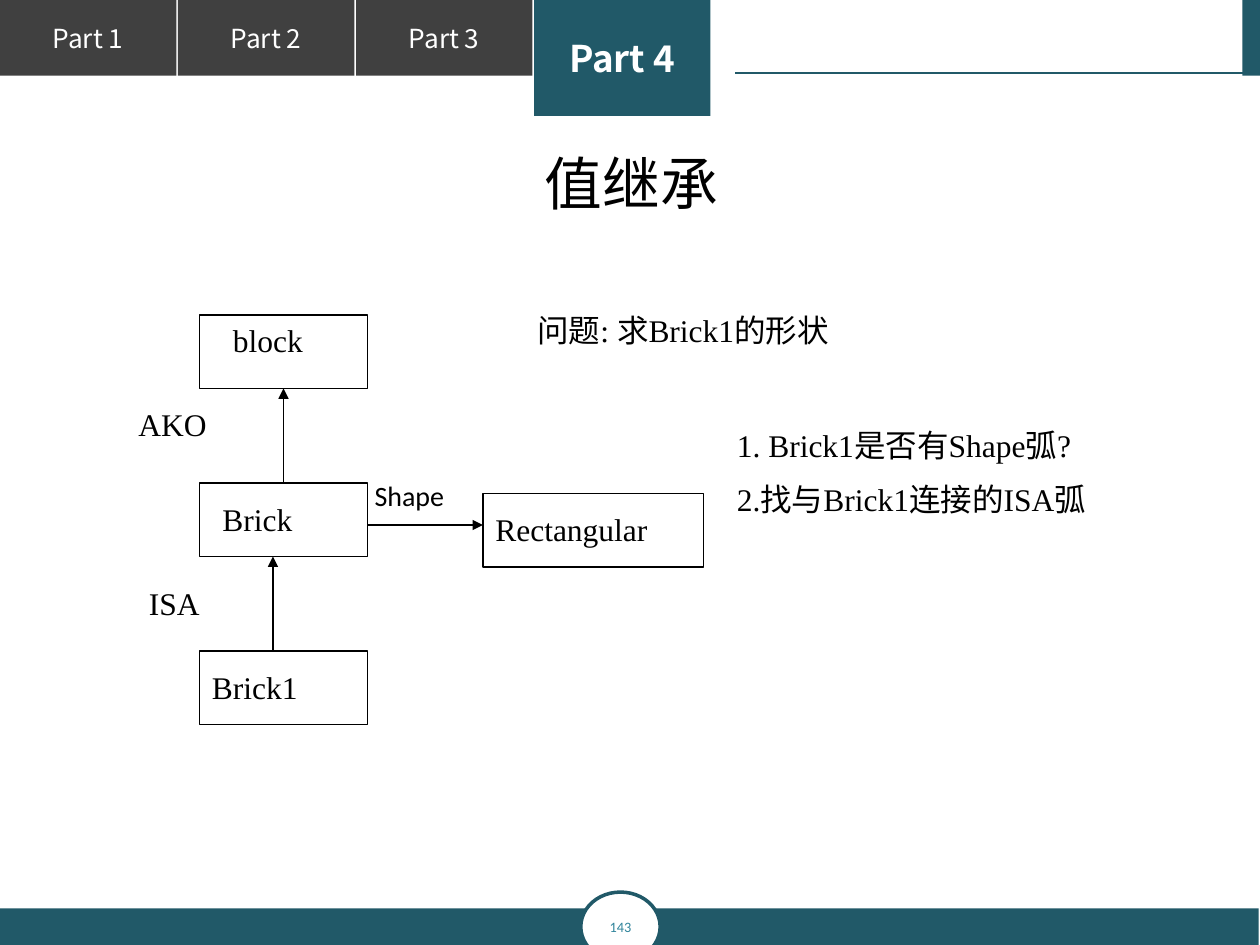
from lxml import etree
from pptx import Presentation
from pptx.dml.color import RGBColor as RGB
from pptx.enum.shapes import MSO_CONNECTOR, MSO_SHAPE
from pptx.enum.text import MSO_ANCHOR as ANCHOR, MSO_AUTO_SIZE as FIT, PP_ALIGN as ALIGN
from pptx.oxml.ns import qn
from pptx.util import Inches, Pt

C = {"teal": "215968", "gray": "404040", "white": "FFFFFF",
     "black": "000000", "number": "31859C"}
CJK, SERIF, SANS = "Noto Sans CJK SC", "Times New Roman", "Calibri"

prs = Presentation()
prs.slide_width, prs.slide_height = Inches(10), Inches(7.5)
s = prs.slides.add_slide(prs.slide_layouts[5])
U = prs.slide_width // 120  # diagram grid: 12 columns or rows to the inch


def write(sp, lines, size, font, color="black", bold=False, align=ALIGN.LEFT,
          anchor=ANCHOR.TOP):
    tf = sp.text_frame
    frame = {"word_wrap": True, "auto_size": FIT.NONE, "vertical_anchor": anchor}
    for key, value in frame.items():
        setattr(tf, key, value)
    for i, line in enumerate(lines):
        p = tf.paragraphs[0] if i == 0 else tf.add_paragraph()
        p.alignment = align
        if i:
            p.space_before = Pt(size / 2)
        r = p.add_run()
        r.text = line
        for key, value in {"size": Pt(size), "name": font, "bold": bold}.items():
            setattr(r.font, key, value)
        r.font.color.rgb = RGB.from_string(C[color])
        etree.SubElement(r.font._element, qn("a:ea"), typeface=CJK)


def draw(kind, box, fill=None, line=None, width=0.75):
    sp = s.shapes.add_shape(kind, *box)
    sp.shadow.inherit = False
    if fill:
        sp.fill.solid()
        sp.fill.fore_color.rgb = RGB.from_string(C[fill])
    else:
        sp.fill.background()
    if line:
        sp.line.color.rgb = RGB.from_string(C[line])
        sp.line.width = Pt(width)
    else:
        sp.line.fill.background()
    return sp


# Navigation tabs, the last one active
for i in range(4):
    active = i == 3
    height, fill, size = (0.92, "teal", 21) if active else (0.6, "gray", 15)
    box = [Inches(v) for v in (1.413 * i, 0, 1.4, height)]
    write(draw(MSO_SHAPE.RECTANGLE, box, fill), [f"Part {i + 1}"], size, CJK,
          "white", active, ALIGN.CENTER, ANCHOR.MIDDLE)

# Corner block, footer bar and page number
for box in ((9.86, 0, 0.15, 0.6), (0, 7.21, 9.99, 0.29)):
    draw(MSO_SHAPE.RECTANGLE, [Inches(v) for v in box], "teal")
badge = draw(MSO_SHAPE.OVAL, [Inches(v) for v in (4.61, 7.08, 0.63, 0.55)],
             "white", "teal", 2)
write(badge, ["143"], 8.2, SANS, "number", align=ALIGN.CENTER, anchor=ANCHOR.MIDDLE)

# Title
title = s.shapes.title
place = {"left": 0.75, "top": 1.12, "width": 8.52, "height": 1.25}
for key, value in place.items():
    setattr(title, key, Inches(value))
write(title, ["值继承"], 33, SANS, align=ALIGN.CENTER)

# Frames of the network, in grid units
for box in ((19, 30, 16, 7), (19, 46, 16, 7), (19, 62, 16, 7), (46, 47, 21, 7)):
    draw(MSO_SHAPE.RECTANGLE, [v * U for v in box], line="black")

# Header rule, then the network arrows
rule = [Inches(v) for v in (9.93, 0.58, 5.83, 0.58)]
arrows = [(27, 46, 27, 37), (26, 62, 26, 53), (35, 50, 46, 50)]
for ends in [rule] + [[v * U for v in a] for a in arrows]:
    cn = s.shapes.add_connector(MSO_CONNECTOR.STRAIGHT, *ends)
    cn.line.width = Pt(0.75)
    cn.line.color.rgb = RGB.from_string(C["teal" if ends is rule else "black"])
    if ends is not rule:
        etree.SubElement(cn.line._get_or_add_ln(), qn("a:tailEnd"), type="triangle")
    etree.SubElement(cn._element.spPr, qn("a:effectLst"))

# Node names, arc labels and questions, in grid units
labels = [
    ((21, 30, 12, 6), ["block"], 18, SERIF),
    ((20, 47, 15, 6), ["Brick"], 18, SERIF),
    ((19, 63, 15, 6), ["Brick1"], 18, SERIF),
    ((46, 48, 26, 6), ["Rectangular"], 18, SERIF),
    ((12, 38, 13, 6), ["AKO"], 18, SERIF),
    ((13, 55, 10, 6), ["ISA"], 18, SERIF),
    ((34.5, 45, 11.5, 4.5), ["Shape"], 16, SANS),
    ((50, 29, 45, 6), ["问题: 求Brick1的形状"], 18, SERIF),
    ((69, 40, 42, 16), ["1. Brick1是否有Shape弧?", "2.找与Brick1连接的ISA弧"], 18, SERIF),
]
for box, lines, size, font in labels:
    write(s.shapes.add_textbox(*[int(v * U) for v in box]), lines, size, font)

prs.save("out.pptx")
